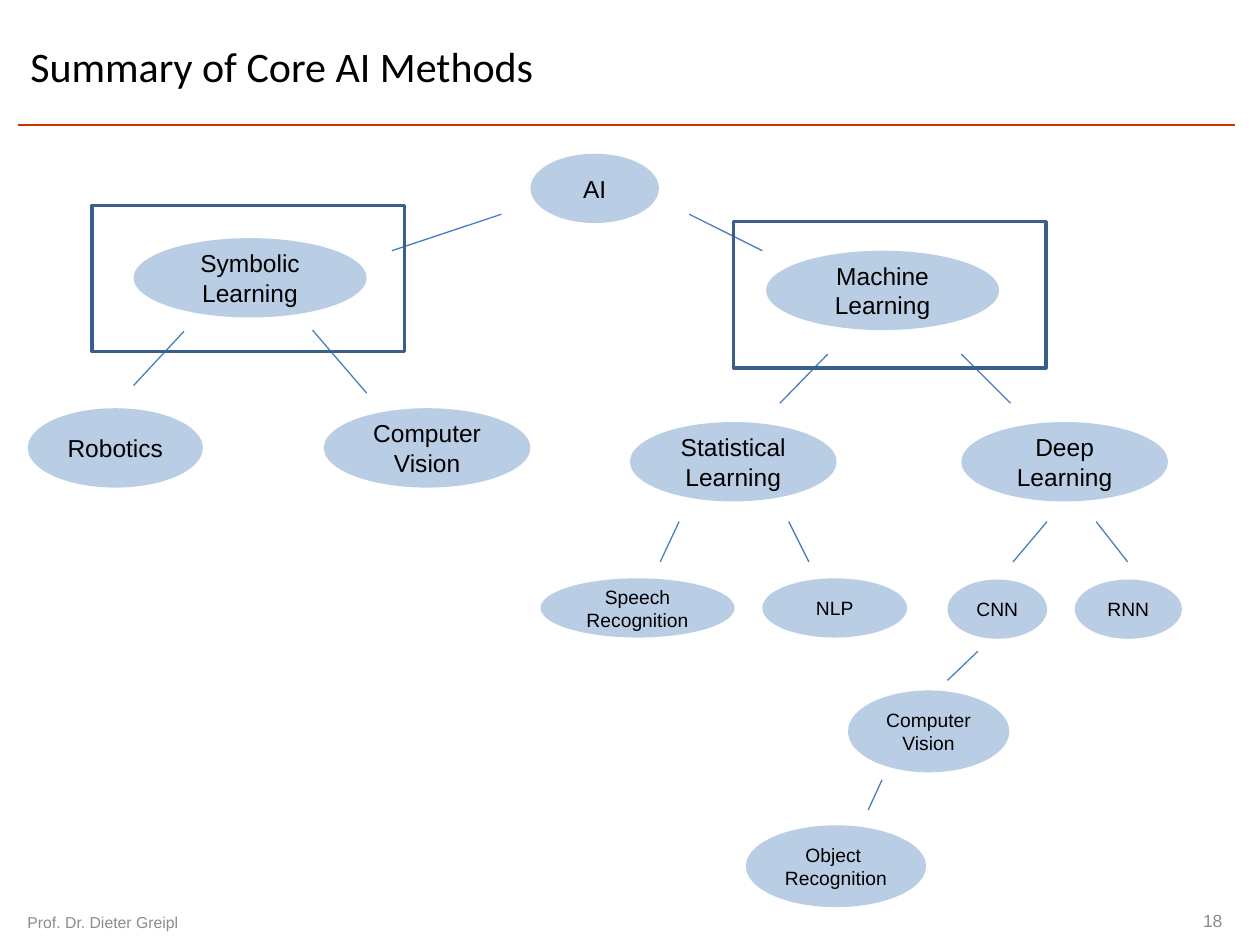
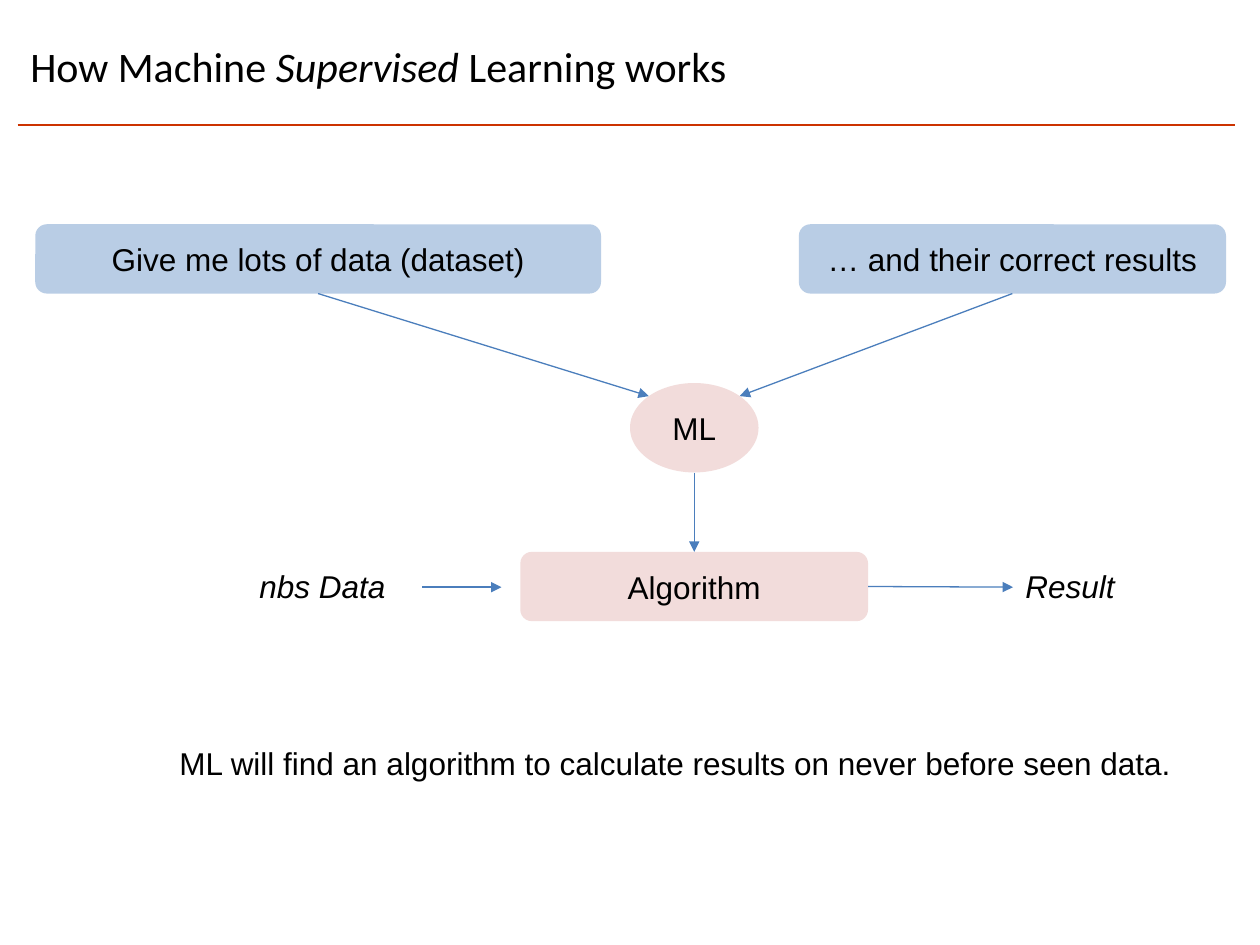
from dataclasses import dataclass

from lxml import etree
from pptx import Presentation
from pptx.dml.color import RGBColor
from pptx.enum.shapes import MSO_CONNECTOR, MSO_SHAPE
from pptx.enum.text import MSO_ANCHOR, PP_ALIGN
from pptx.oxml.ns import qn
from pptx.util import Inches, Pt

LEFT, MID, RIGHT = PP_ALIGN.LEFT, PP_ALIGN.CENTER, PP_ALIGN.RIGHT
OVAL, ROUND, RECT = MSO_SHAPE.OVAL, MSO_SHAPE.ROUNDED_RECTANGLE, MSO_SHAPE.RECTANGLE
TOP, CENTER = MSO_ANCHOR.TOP, MSO_ANCHOR.MIDDLE
STRAIGHT = MSO_CONNECTOR.STRAIGHT


@dataclass(frozen=True)
class Theme:
    head: str = "Calibri"
    body: str = "Arial"
    ink: str = "000000"
    gray: str = "8C8C8C"
    rule: str = "CC3300"
    blue: str = "B9CDE5"
    pink: str = "F2DCDB"
    link: str = "4B7EBC"
    frame: str = "3A5F8C"
    title: int = 24
    large: int = 18
    node: int = 14
    leaf: int = 11
    page: int = 10
    foot: int = 9


T = Theme()

# Slide 1: lines of text, then left, top, width, height
NODES = [
    (["AI"], (4.21, 1.22, 1.02, 0.55)),
    (["Symbolic", "Learning"], (1.06, 1.89, 1.85, 0.63)),
    (["Machine Learning"], (6.08, 1.99, 1.85, 0.63)),
    (["Robotics"], (0.22, 3.24, 1.39, 0.63)),
    (["Computer Vision"], (2.57, 3.24, 1.64, 0.63)),
    (["Statistical Learning"], (5, 3.35, 1.64, 0.63)),
    (["Deep Learning"], (7.63, 3.35, 1.64, 0.63)),
]
LEAVES = [
    (["CNN"], (7.52, 4.6, 0.79, 0.47)),
    (["RNN"], (8.53, 4.6, 0.85, 0.47)),
    (["Computer Vision"], (6.73, 5.48, 1.28, 0.65)),
    (["Speech Recognition"], (4.29, 4.59, 1.54, 0.47)),
    (["NLP"], (6.05, 4.59, 1.15, 0.47)),
    (["Object ", "Recognition"], (5.92, 6.55, 1.43, 0.65)),
]
# Links by level: top, bottom, then pairs of upper and lower x
LINKS = [
    (1.7, 1.99, [(5.47, 6.05), (3.98, 3.11)]),
    (2.62, 3.12, [(2.48, 2.91)]),
    (2.63, 3.06, [(1.46, 1.06)]),
    (2.81, 3.2, [(7.63, 8.02), (6.57, 6.19)]),
    (4.14, 4.46, [(8.31, 8.04), (8.7, 8.95), (6.26, 6.42), (5.39, 5.24)]),
    (5.17, 5.4, [(7.76, 7.52)]),
    (6.19, 6.43, [(7, 6.89)]),
]
FRAMES = [(5.82, 1.76), (0.73, 1.63)]
FRAME_SIZE = (2.48, 1.16)

# Slide 2: name -> shape, colour, text, place
STEPS = {
    "data": (ROUND, T.blue, "Give me lots of data (dataset)", (0.28, 1.78, 4.49, 0.55)),
    "truth": (ROUND, T.blue, "… and their correct results", (6.34, 1.78, 3.39, 0.55)),
    "algo": (ROUND, T.pink, "Algorithm", (4.13, 4.38, 2.76, 0.55)),
    "ml": (OVAL, T.pink, "ML", (5, 3.04, 1.02, 0.71)),
}
# Ends of arrows: step name with a spot on its outline, or a plain point
ARROWS = [
    (("ml", "low"), ("algo", "high")),
    (("truth", "low"), ("ml", "ne")),
    (("data", "low"), ("ml", "nw")),
    ((3.35, 4.66), (3.98, 4.66)),
    (("algo", "east"), (8.04, 4.66)),
]
DIAG = 0.5 ** 0.5 / 2
SPOTS = {
    "high": (0.5, 0), "low": (0.5, 1), "east": (1, 0.5),
    "nw": (0.5 - DIAG, 0.5 - DIAG), "ne": (0.5 + DIAG, 0.5 - DIAG),
}
# Text, place, alignment, italic, wrap
LABELS = [
    ("ML will find an algorithm to calculate results on never before seen data.",
     (1.03, 5.86, 8.66, 0.4), MID, False, True),
    ("nbs Data", (1.96, 4.45, 1.67, 0.4), LEFT, True, True),
    ("Result", (8.04, 4.45, 0.92, 0.4), LEFT, True, False),
]


# Helpers
def rgb(code):
    return RGBColor.from_string(code)


def inch(nums):
    return [Inches(n) for n in nums]


def write(shape, lines, size, color=T.ink, font=T.body, align=LEFT,
          anchor=CENTER, wrap=True):
    """Each line is a list of (text, italic) runs."""
    frame = shape.text_frame
    frame.word_wrap = wrap
    frame.vertical_anchor = anchor
    for i, runs in enumerate(lines):
        para = frame.paragraphs[0] if i == 0 else frame.add_paragraph()
        para.alignment = align
        for text, slant in runs:
            run = para.add_run()
            run.text = text
            run.font.name = font
            run.font.size = Pt(size)
            run.font.italic = slant
            run.font.color.rgb = rgb(color)


def label(slide, text, place, size, slant=False, **style):
    box = slide.shapes.add_textbox(*inch(place))
    write(box, [[(text, slant)]], size, **style)


def block(slide, kind, fill, lines, place, size):
    shape = slide.shapes.add_shape(kind, *inch(place))
    shape.shadow.inherit = False
    shape.fill.solid()
    shape.fill.fore_color.rgb = rgb(fill)
    shape.line.fill.background()
    write(shape, [[(line, False)] for line in lines], size, align=MID)


def link(slide, start, end, color=T.link, width=0.75, arrow=False):
    line = slide.shapes.add_connector(STRAIGHT, *inch((*start, *end)))
    line.line.color.rgb = rgb(color)
    line.line.width = Pt(width)
    if arrow:
        etree.SubElement(line.line._get_or_add_ln(), qn("a:tailEnd"), type="triangle")
    etree.SubElement(line._element.spPr, qn("a:effectLst"))


def point(end):
    if end[0] not in STEPS:
        return end
    x, y, w, h = STEPS[end[0]][3]
    dx, dy = SPOTS[end[1]]
    return x + w * dx, y + h * dy


def page(deck, runs):
    """New slide with the shared title and rule."""
    slide = deck.slides.add_slide(deck.slide_layouts[5])
    link(slide, (0.14, 0.99), (9.8, 0.99), T.rule, 1)
    title = slide.shapes.title
    title.left, title.top, title.width, title.height = inch((0.14, 0.06, 8.81, 0.93))
    write(title, [runs], T.title, font=T.head)
    return slide


# Slides
def draw_tree(deck):
    slide = page(deck, [("Summary of Core AI Methods", False)])
    label(slide, "Prof. Dr. Dieter Greipl", (0.12, 7.16, 2.36, 0.32), T.foot, color=T.gray)
    label(slide, "18", (7.47, 7.16, 2.33, 0.3), T.page, color=T.gray, align=RIGHT)
    for group, size in ((NODES, T.node), (LEAVES, T.leaf)):
        for lines, place in group:
            block(slide, OVAL, T.blue, lines, place, size)
    for top, low, pairs in LINKS:
        for x1, x2 in pairs:
            link(slide, (x1, top), (x2, low))
    for spot in FRAMES:
        frame = slide.shapes.add_shape(RECT, *inch(spot + FRAME_SIZE))
        frame.shadow.inherit = False
        frame.fill.background()
        frame.line.color.rgb = rgb(T.frame)
        frame.line.width = Pt(2)


def draw_flow(deck):
    slide = page(deck, [("How Machine ", False), ("Supervised ", True),
                        ("Learning works", False)])
    for kind, fill, text, place in STEPS.values():
        block(slide, kind, fill, [text], place, T.large)
    for text, place, align, slant, wrap in LABELS:
        label(slide, text, place, T.large, slant, align=align, anchor=TOP, wrap=wrap)
    for start, end in ARROWS:
        link(slide, point(start), point(end), arrow=True)


def main():
    deck = Presentation()
    deck.slide_width, deck.slide_height = inch((10, 7.5))
    draw_tree(deck)
    draw_flow(deck)
    deck.save("out.pptx")


if __name__ == "__main__":
    main()
